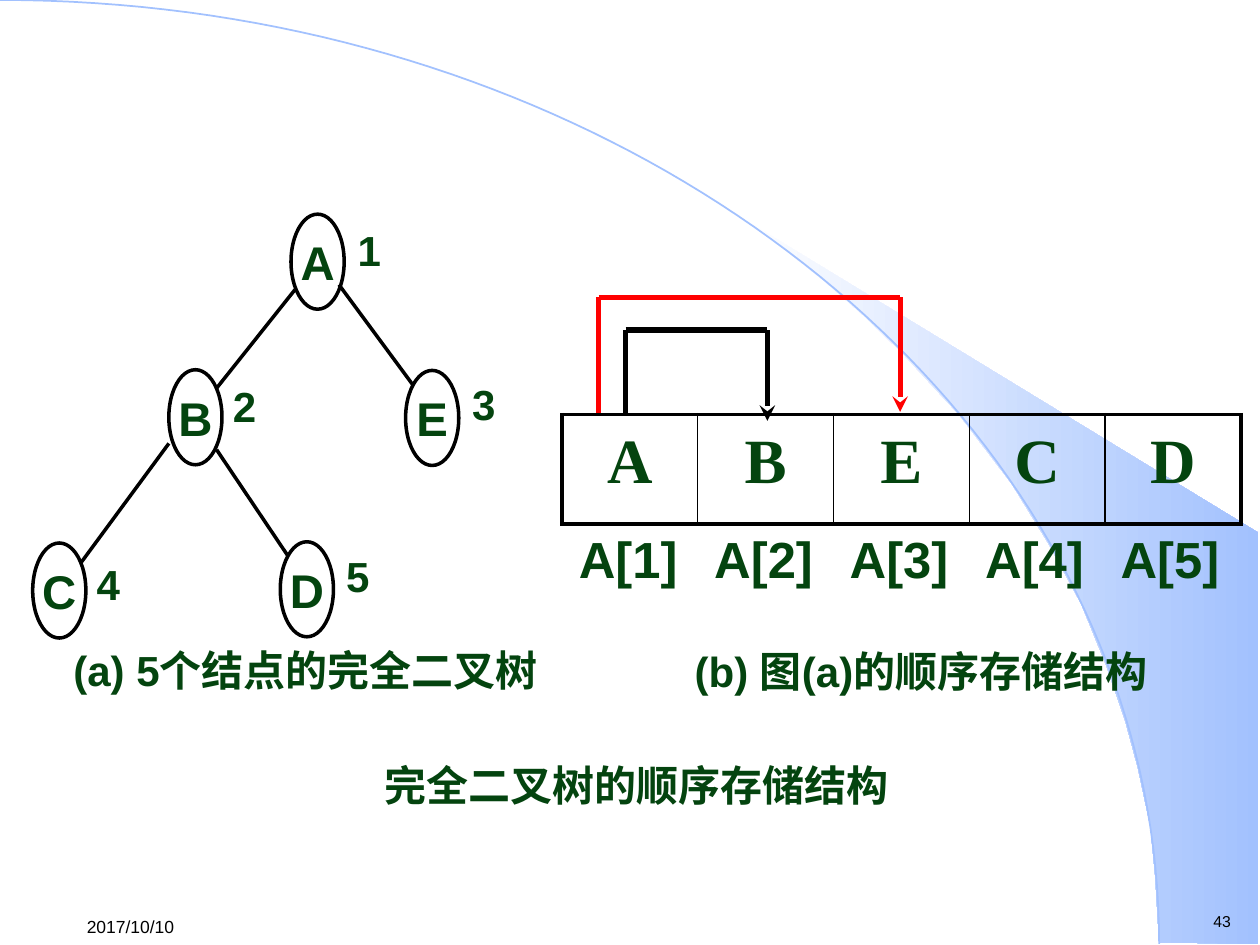
from itertools import pairwise
from lxml import etree
from pptx import Presentation
from pptx.dml.color import RGBColor
from pptx.enum import shapes, text
from pptx.oxml import ns
from pptx.util import Pt

COLORS = {"ink": "04440F", "black": "000000", "red": "FF0000",
          "white": "FFFFFF", "sky": "A2C1FE"}
RGB = {name: RGBColor.from_string(value) for name, value in COLORS.items()}


def write(tf, string, size, color="ink", bold=True, font="Arial",
          align=text.PP_ALIGN.CENTER, spacing=None, inset=(0, 0),
          anchor=text.MSO_ANCHOR.TOP):
    tf.word_wrap = True
    tf.margin_left = tf.margin_right = Pt(inset[0])
    tf.margin_top = tf.margin_bottom = Pt(inset[1])
    tf.vertical_anchor = anchor
    p = tf.paragraphs[0]
    p.alignment = align
    p.line_spacing = spacing
    r = p.add_run()
    r.text = string
    r.font.name, r.font.size, r.font.bold = font, Pt(size), bold
    r.font.color.rgb = RGB[color]


def connect(start, end, color, width, arrow=False):
    c = s.shapes.add_connector(shapes.MSO_CONNECTOR.STRAIGHT,
                               *map(Pt, (*start, *end)))
    c.line.color.rgb = RGB[color]
    c.line.width = Pt(width)
    if arrow:
        etree.SubElement(c.line._get_or_add_ln(), ns.qn("a:tailEnd"), type="stealth")
    etree.SubElement(c._element.spPr, ns.qn("a:effectLst"))


prs = Presentation()
prs.slide_width, prs.slide_height = Pt(720), Pt(540)
s = prs.slides.add_slide(prs.slide_layouts[6])

wedge = [(662.4, 538.6), (719.3, 539.3), (719.3, 304.6), (424.1, 124.6),
         (449.3, 143.3), (470.2, 159.8), (493.2, 180), (515.5, 201.6),
         (548.6, 237.6), (578.2, 276.5), (599, 310.3), (617.8, 344.9),
         (632.2, 380.2), (643, 411.8), (650.2, 438.5), (657.4, 472.3),
         (660.2, 501.1)]
fb = s.shapes.build_freeform(Pt(wedge[0][0]), Pt(wedge[0][1]))
fb.add_line_segments([(Pt(x), Pt(y)) for x, y in wedge[1:]], close=True)
sp = fb.convert_to_shape()
sp.shadow.inherit = False
sp.line.fill.background()
sp.fill.gradient()
sp.fill.gradient_angle = 0
for stop, color in zip(sp.fill.gradient_stops, ("white", "sky")):
    stop.color.rgb = RGB[color]

arc = []
for step in range(1, 81):
    t = step / 80
    x = 3 * (1 - t) ** 2 * t * 365.8 + (3 * (1 - t) * t ** 2 + t ** 3) * 662.4
    y = 3 * (1 - t) * t ** 2 * 241.2 + t ** 3 * 539.3
    arc.append((Pt(x), Pt(y)))
fb = s.shapes.build_freeform(0, 0)
fb.add_line_segments(arc, close=False)
sp = fb.convert_to_shape()
sp.shadow.inherit = False
sp.fill.background()
sp.line.color.rgb = RGB["sky"]
sp.line.width = Pt(1)

footers = [("43", 686.2, 517.7, 25.2, 18, 9, text.MSO_ANCHOR.TOP),
           ("2017/10/10", 42.5, 518.4, 73.4, 21.6, 10, text.MSO_ANCHOR.MIDDLE)]
for string, x, y, w, h, size, anchor in footers:
    sp = s.shapes.add_textbox(Pt(x), Pt(y), Pt(w), Pt(h))
    write(sp.text_frame, string, size, "black", False, anchor=anchor,
          align=text.PP_ALIGN.LEFT, inset=(7.2, 3.6))

captions = [("完全二叉树的顺序存储结构", 156.2, 432.7, 415.4, 30.2, Pt(30)),
            ("(b) 图(a)的顺序存储结构", 381.6, 367.9, 289.4, 32.4, Pt(30)),
            ("(a) 5个结点的完全二叉树", 25.2, 372.2, 298.8, 39.6, 0.88)]
for string, x, y, w, h, spacing in captions:
    sp = s.shapes.add_textbox(Pt(x), Pt(y), Pt(w), Pt(h))
    write(sp.text_frame, string, 24, spacing=spacing)

edges = [((168.5, 165.6), (123.8, 221.8)), ((193.7, 162.7), (236.2, 220.3)),
         ((96.5, 253.4), (46.1, 321.8)), ((123.8, 257), (164.9, 318.2))]
for start, end in edges:
    connect(start, end, "black", 2)

nodes = [("A", 166.3, 122.4, "1", 203.8, 133.9),
         ("B", 96.5, 211.3, "2", 132.5, 223.2),
         ("E", 231.8, 211.7, "3", 269.3, 221.8),
         ("C", 18.7, 310.3, "4", 54.7, 324.7),
         ("D", 160.2, 309.6, "5", 197.3, 320.4)]
for letter, x, y, index, index_x, index_y in nodes:
    sp = s.shapes.add_shape(shapes.MSO_SHAPE.OVAL, Pt(x), Pt(y), Pt(30.4), Pt(54.3))
    sp.shadow.inherit = False
    sp.fill.background()
    sp.line.color.rgb = RGB["black"]
    sp.line.width = Pt(2)
    write(sp.text_frame, letter, 27, anchor=text.MSO_ANCHOR.MIDDLE)
    sp = s.shapes.add_textbox(Pt(index_x), Pt(index_y), Pt(14.4), Pt(30))
    write(sp.text_frame, index, 24, spacing=0.8)

frame = s.shapes.add_table(1, 5, Pt(321.1), Pt(236.9), Pt(388), Pt(62.6))
table = frame.table
table.first_row = table.horz_banding = False
for i, letter in enumerate("ABECD"):
    cell = table.cell(0, i)
    write(cell.text_frame, letter, 36, font="Times New Roman", spacing=1.1,
          inset=(7.2, 3.6))
    tcPr = cell._tc.get_or_add_tcPr()
    widths = {"lnL": 1 if i else 2.25, "lnR": 1 if i < 4 else 2.25,
              "lnT": 2.25, "lnB": 2.25}
    for side, width in widths.items():
        ln = etree.SubElement(tcPr, ns.qn(f"a:{side}"), w=str(Pt(width)))
        fill = etree.SubElement(ln, ns.qn("a:solidFill"))
        etree.SubElement(fill, ns.qn("a:srgbClr"), val=COLORS["black"])
    cell.fill.background()
    sp = s.shapes.add_textbox(Pt(330.5 + 77.4 * i), Pt(310.3), Pt(56.9), Pt(28.1))
    write(sp.text_frame, f"A[{i + 1}]", 29, spacing=0.72)

links = [("black", 357.5, 188.6, 438.5, 240.5), ("red", 342, 169.9, 514.4, 235.4)]
for color, x1, top, x2, tip in links:
    route = [(x1, 235.8), (x1, top), (x2, top), (x2, tip)]
    for start, end in pairwise(route):
        connect(start, end, color, 3, arrow=end == route[-1])

prs.save("out.pptx")
